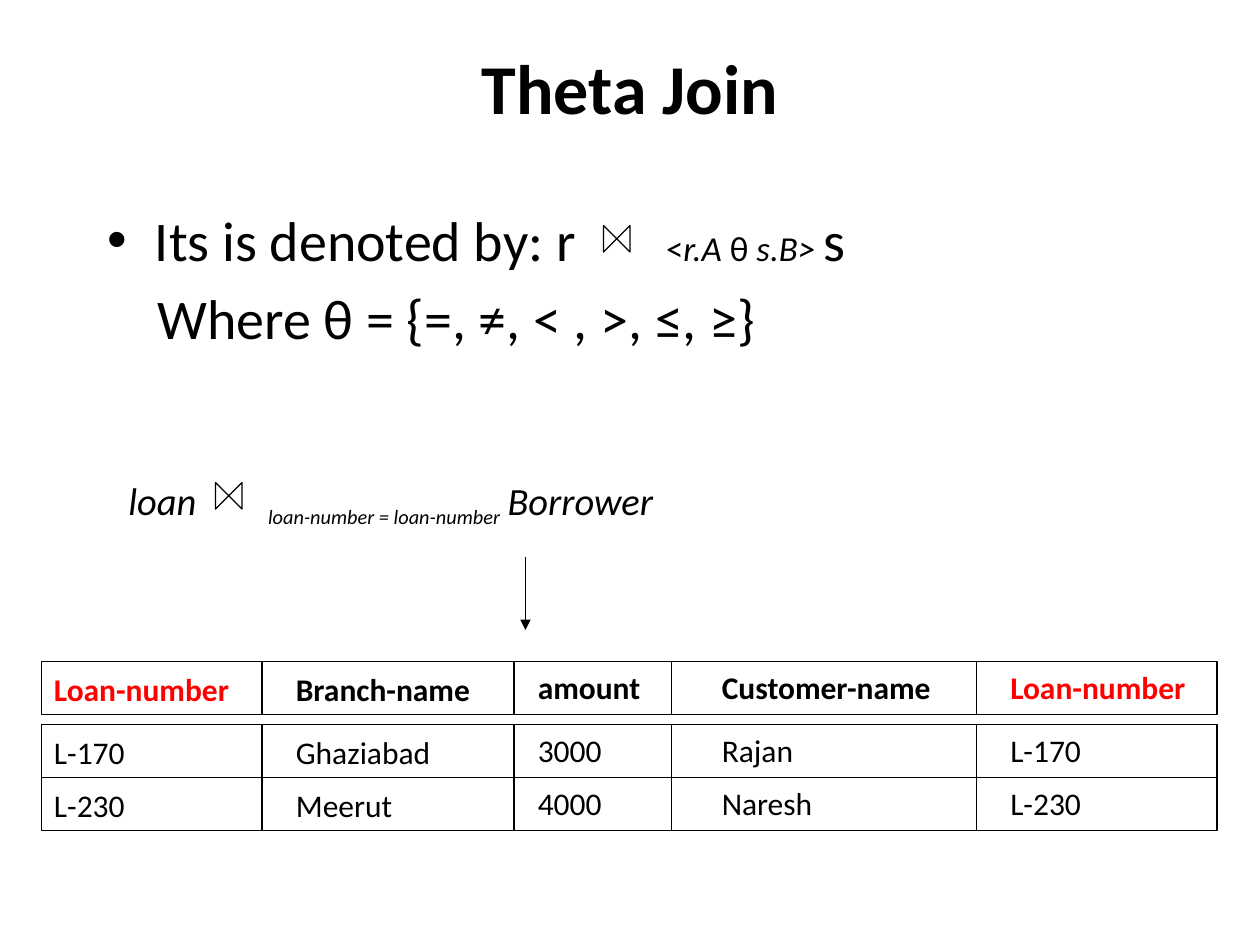
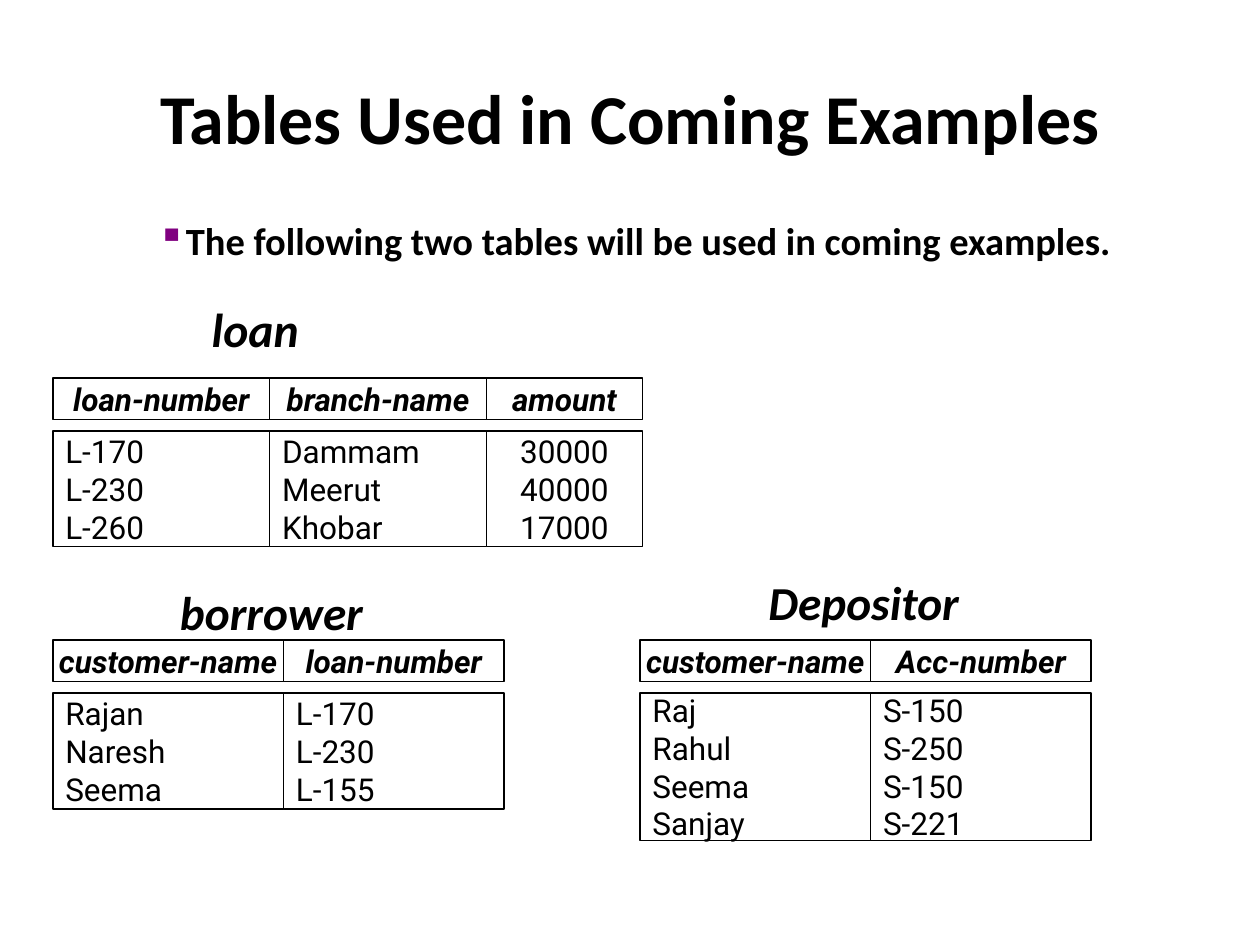
"""Build two slides on the theta join and its example relations."""
from lxml import etree
from pptx import Presentation
from pptx.dml.color import RGBColor
from pptx.enum.shapes import MSO_CONNECTOR, MSO_SHAPE
from pptx.enum.text import MSO_ANCHOR, MSO_AUTO_SIZE, PP_ALIGN
from pptx.oxml.ns import qn
from pptx.util import Inches, Pt

LEFT, CENTER = PP_ALIGN.LEFT, PP_ALIGN.CENTER
TOP, MIDDLE = MSO_ANCHOR.TOP, MSO_ANCHOR.MIDDLE
NO_AUTOFIT = MSO_AUTO_SIZE.NONE
RECT, COLLATE = MSO_SHAPE.RECTANGLE, MSO_SHAPE.FLOWCHART_COLLATE
STRAIGHT = MSO_CONNECTOR.STRAIGHT
COLORS = {"ink": "000000", "paper": "FFFFFF", "key": "FF0000", "bullet": "800080"}
BODY_FONT, TABLE_FONT = "Calibri", "Roboto"
LINE_WIDTH = Pt(0.75)


def color(name):
    return RGBColor.from_string(COLORS[name])


def add_run(p, text, size=18, font=BODY_FONT, ink="ink", bold=False,
            italic=False, baseline=None, spacing=None):
    r = p.add_run()
    r.text = text
    r.font.size, r.font.name = Pt(size), font
    r.font.bold, r.font.italic = bold, italic
    r.font.color.rgb = color(ink)
    if baseline:
        r.font._element.set("baseline", str(baseline * 1000))
    if spacing:
        r.font._element.set("spc", str(spacing * 100))


def format_paragraph(p, align=LEFT, margin=0, indent=0, before=0,
                     line=None, bullet=None, bullet_ink=None):
    pPr = p._p.get_or_add_pPr()
    pPr.set("marL", str(Inches(margin)))
    pPr.set("indent", str(Inches(indent)))
    if bullet_ink:
        clr = etree.SubElement(pPr, qn("a:buClr"))
        etree.SubElement(clr, qn("a:srgbClr")).set("val", COLORS[bullet_ink])
    if bullet:
        etree.SubElement(pPr, qn("a:buChar")).set("char", bullet)
    else:
        etree.SubElement(pPr, qn("a:buNone"))
    p.alignment, p.space_before = align, Pt(before)
    if line:
        p.line_spacing = line


class Deck:
    def __init__(self):
        self.prs = Presentation()
        self.prs.slide_width, self.prs.slide_height = Inches(10), Inches(7.5)
        self.s = None

    def slide(self, title, height):
        self.s = self.prs.slides.add_slide(self.prs.slide_layouts[1])
        self.s.background.fill.solid()
        self.s.background.fill.fore_color.rgb = color("paper")
        p = self.place(self.s.shapes.title, 0.5, 0.3, 9, height, MIDDLE)
        format_paragraph(p, CENTER)
        add_run(p, title, size=40, bold=True)

    def place(self, sp, x, y, w, h, anchor=TOP, wrap=True):
        sp.left, sp.top, sp.width, sp.height = (Inches(v) for v in (x, y, w, h))
        tf = sp.text_frame
        tf.auto_size, tf.word_wrap, tf.vertical_anchor = NO_AUTOFIT, wrap, anchor
        return tf.paragraphs[0]

    def body(self, x, y, w, h):
        return self.place(self.s.placeholders[1], x, y, w, h)

    def box(self, x, y, w, h):
        sp = self.s.shapes.add_textbox(0, 0, 0, 0)
        return self.place(sp, x, y, w, h)

    def shape(self, kind, x, y, w, h, fill=None):
        sp = self.s.shapes.add_shape(kind, *(Inches(v) for v in (x, y, w, h)))
        sp.shadow.inherit = False
        if fill:
            sp.fill.solid()
            sp.fill.fore_color.rgb = color(fill)
        else:
            sp.fill.background()
        sp.line.color.rgb, sp.line.width = color("ink"), LINE_WIDTH
        return sp

    def bowtie(self, x, y):
        self.shape(COLLATE, x, y, 0.21, 0.21).rotation = 90

    def line(self, x1, y1, x2, y2, arrow=False):
        ends = (Inches(v) for v in (x1, y1, x2, y2))
        cn = self.s.shapes.add_connector(STRAIGHT, *ends)
        cn.line.color.rgb, cn.line.width = color("ink"), LINE_WIDTH
        if arrow:
            tail = etree.SubElement(cn.line._get_or_add_ln(), qn("a:tailEnd"))
            tail.set("type", "triangle")
        etree.SubElement(cn._element.spPr, qn("a:effectLst"))

    def cell(self, x, y, w, h, lines, align=LEFT, **fmt):
        sp = self.shape(RECT, x, y, w, h, fill="paper")
        p = self.place(sp, x, y, w, h, MIDDLE, wrap=False)
        for i, text in enumerate(lines):
            if i:
                p = sp.text_frame.add_paragraph()
            format_paragraph(p, align)
            add_run(p, text, font=TABLE_FONT, **fmt)

    def relation(self, x, y, height, columns):
        for name, width, align, values in columns:
            self.cell(x, y, width, 0.33, [name], CENTER, bold=True, italic=True)
            self.cell(x, y + 0.42, width, height, values, align)
            x += width

    def result_row(self, y, values, header=False):
        self.shape(RECT, 0.33, y, 9.33, 0.42)
        dividers = [2.08, 4.08, 5.33, 7.75]
        text_lefts = [0.33, 2.25, 4.17, 5.63, 7.92]
        drops = [0.02, 0.02, 0, 0, 0]
        for text, x, right, drop in zip(values, text_lefts, dividers + [9.66], drops):
            p = self.box(x, y + drop, right - x, 0.4)
            is_key = header and text == "Loan-number"
            add_run(p, text, ink="key" if is_key else "ink", bold=header)
        for x in dividers:
            self.line(x, y, x, y + 0.42)

    def caption(self, p, text, size=27):
        format_paragraph(p)
        add_run(p, text, size=size, bold=True, italic=True)


def theta_join(deck):
    deck.slide("Theta Join", 0.78)
    p = deck.body(0.75, 1.58, 8.83, 1.75)
    format_paragraph(p, margin=0.38, indent=-0.38, bullet="•")
    add_run(p, "Its is denoted by: r", size=32)
    add_run(p, " ", size=32, spacing=44)
    for text, italic in (("<", False), ("r.A ", True), ("θ ", False), ("s.B> ", True)):
        add_run(p, text, size=20, italic=italic)
    add_run(p, "s", size=32)
    p = deck.s.placeholders[1].text_frame.add_paragraph()
    format_paragraph(p, margin=0.4, before=6.4)
    add_run(p, "Where θ = {=, ≠, < , >, ≤, ≥}", size=32)
    deck.bowtie(4.79, 1.79)

    p = deck.box(0.92, 3.75, 7.67, 0.74)
    format_paragraph(p, line=0.9)
    add_run(p, "loan", size=22, italic=True)
    add_run(p, " ", size=22, italic=True, spacing=36)
    add_run(p, "loan-number = loan-number", size=20, italic=True, baseline=-25)
    add_run(p, " ", italic=True)
    add_run(p, "Borrower", size=22, italic=True)
    deck.bowtie(1.71, 3.83)
    deck.line(4.17, 4.42, 4.17, 5, arrow=True)

    deck.result_row(5.25, ["Loan-number", "Branch-name", "amount",
                           "Customer-name", "Loan-number"], header=True)
    deck.result_row(5.75, ["L-170", "Ghaziabad", "3000", "Rajan", "L-170"])
    deck.result_row(6.17, ["L-230", "Meerut", "4000", "Naresh", "L-230"])


def example_tables(deck):
    deck.slide("Tables Used in Coming Examples", 1.25)
    p = deck.box(1.15, 1.67, 7.98, 0.47)
    format_paragraph(p, margin=0.18, indent=-0.18, bullet="▪", bullet_ink="bullet")
    add_run(p, "The following two tables will be used in coming examples.",
            size=22, bold=True)

    deck.caption(deck.body(1.58, 2.33, 1.24, 0.49), "loan", 27.2)
    deck.relation(0.42, 3, 0.92, [
        ("loan-number", 1.72, LEFT, ["L-170", "L-230", "L-260"]),
        ("branch-name", 1.72, LEFT, ["Dammam", "Meerut", "Khobar"]),
        ("amount", 1.24, CENTER, ["30000", "40000", "17000"])])

    deck.caption(deck.box(1.33, 4.58, 1.99, 0.53), "borrower")
    deck.relation(0.42, 5.08, 0.92, [
        ("customer-name", 1.83, LEFT, ["Rajan", "Naresh", "Seema"]),
        ("loan-number", 1.75, LEFT, ["L-170", "L-230", "L-155"])])

    deck.caption(deck.box(6, 4.5, 1.99, 0.53), "Depositor")
    deck.relation(5.08, 5.08, 1.17, [
        ("customer-name", 1.83, LEFT, ["Raj", "Rahul", "Seema", "Sanjay"]),
        ("Acc-number", 1.75, LEFT, ["S-150", "S-250", "S-150", "S-221"])])


def main():
    deck = Deck()
    theta_join(deck)
    example_tables(deck)
    deck.prs.save("out.pptx")


if __name__ == "__main__":
    main()
